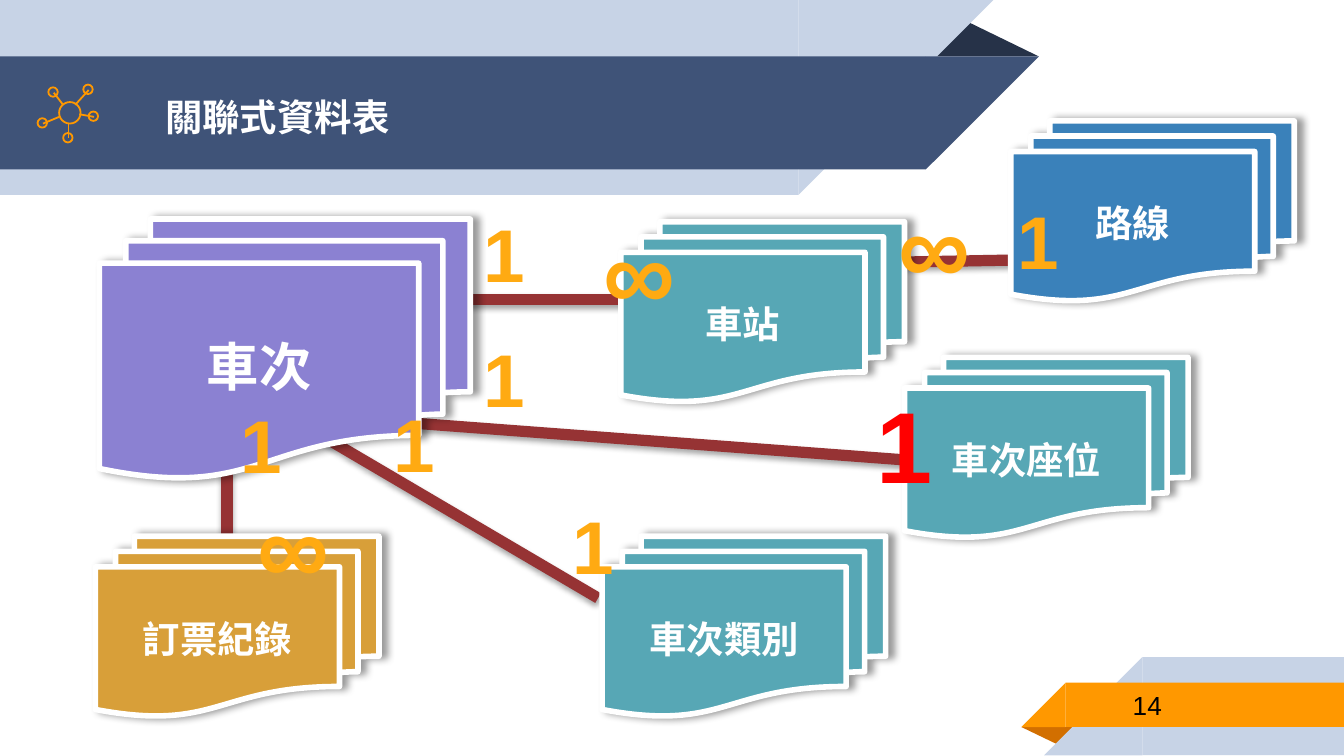
from dataclasses import dataclass

from lxml.etree import SubElement
from pptx import Presentation
from pptx.dml.color import RGBColor
from pptx.enum.shapes import MSO_CONNECTOR as Link, MSO_SHAPE as Form
from pptx.enum.text import MSO_ANCHOR as Anchor, MSO_AUTO_SIZE as Fit, PP_ALIGN as Align
from pptx.oxml.ns import qn
from pptx.util import Emu, Pt

PX = 9144
WIDTH = 1000


def px(count):
    return Emu(round(count * PX))


@dataclass(frozen=True)
class Theme:
    white: str = "FFFFFF"
    black: str = "000000"
    pale: str = "C7D3E6"
    navy: str = "3F5378"
    navy_fold: str = "263248"
    orange: str = "FF9800"
    orange_fold: str = "D26F00"
    link: str = "963334"
    purple: str = "8B81D2"
    gold: str = "D89F39"
    teal: str = "57A7B5"
    blue: str = "3A81BA"
    red: str = "FF0000"
    mark: tuple = ("FFAA12", "BD7B04")
    title_font: str = "Roboto Condensed"
    node_font: str = "Noto Sans CJK JP"
    plain_font: str = "Arial"
    title_size: int = 20
    node_size: int = 20
    main_size: int = 28
    number_size: int = 14
    one_size: int = 40
    many_size: int = 54
    icon_line: float = 0.96
    node_line: int = 3
    link_line: int = 6


def paint(fill, color):
    if isinstance(color, str):
        fill.solid()
        fill.fore_color.rgb = RGBColor.from_string(color)
        return
    fill.gradient()
    fill.gradient_angle = 270
    for stop, shade, position in zip(fill.gradient_stops, color, (0.25, 1)):
        stop.color.rgb = RGBColor.from_string(shade)
        stop.position = position


def write(frame, text, *, font, size, color, bold=True, align=Align.LEFT,
          anchor=Anchor.TOP, inset=None, spacing=0):
    frame.word_wrap = True
    frame.vertical_anchor = anchor
    if inset is not None:
        frame.margin_top = frame.margin_bottom = px(inset)
    para = frame.paragraphs[0]
    para.alignment = align
    span = para.add_run()
    span.text = text
    span.font.size = Pt(size)
    span.font.bold = bold
    paint(span.font.fill, color)
    span.font.name = font
    props = span._r.get_or_add_rPr()
    SubElement(props, qn("a:ea"), typeface=font)
    if spacing:
        props.set("spc", str(spacing))


def cast_shadow(item, alpha, blur, distance, angle):
    effects = SubElement(item._element.spPr, qn("a:effectLst"))
    if not alpha:
        return
    shadow = SubElement(effects, qn("a:outerShdw"), blurRad=str(Pt(blur)),
                        dist=str(Pt(distance)), dir=str(angle * 60000), rotWithShape="0")
    tint = SubElement(shadow, qn("a:srgbClr"), val=Theme.black)
    SubElement(tint, qn("a:alpha"), val=str(alpha * 1000))


class Painter:
    def __init__(self, page, theme):
        self.page = page
        self.theme = theme

    def shape(self, form, left, top, width, height, fill=None, outline=None, weight=0):
        item = self.page.shapes.add_shape(form, px(left), px(top), px(width), px(height))
        if fill:
            paint(item.fill, fill)
        else:
            item.fill.background()
        if outline:
            paint(item.line.fill, outline)
            item.line.width = Pt(weight)
        else:
            item.line.fill.background()
        return item

    def flat(self, *args, **options):
        item = self.shape(*args, **options)
        item.shadow.inherit = False
        return item

    def fold(self, left, top, width, height, fill, turn=0):
        item = self.flat(Form.ISOSCELES_TRIANGLE, left, top, width, height, fill)
        item.adjustments[0] = 0.324
        item.rotation = turn

    def ribbon(self, start, end, top, height, fill, slant_right):
        self.flat(Form.RECTANGLE, start, top, end - start, height, fill)
        left = end if slant_right else start - height
        corner = self.flat(Form.RIGHT_TRIANGLE, left, top, height, height, fill)
        corner._element.spPr.xfrm.set("flipH", "1")
        if slant_right:
            corner.rotation = 180

    def line(self, start, end, color, weight, shadow=(0, 0, 0, 0)):
        item = self.page.shapes.add_connector(Link.STRAIGHT, *map(px, start + end))
        paint(item.line.fill, color)
        item.line.width = Pt(weight)
        cast_shadow(item, *shadow)

    def icon(self, hub, spokes):
        style = dict(outline=self.theme.orange, weight=self.theme.icon_line)
        self.flat(Form.OVAL, *hub, **style)
        for rim, (x, y) in spokes:
            self.flat(Form.OVAL, x - 4, y - 4, 7, 7, **style)
            self.line(rim, (x, y), self.theme.orange, self.theme.icon_line)

    def node(self, text, left, top, fill, width=211, height=134, size=Theme.node_size):
        item = self.shape(Form.FLOWCHART_MULTIDOCUMENT, left, top, width, height,
                          fill, self.theme.white, self.theme.node_line)
        cast_shadow(item, 40, 4, 3, 0)
        write(item.text_frame, text, font=self.theme.node_font, size=size,
              color=self.theme.white, align=Align.CENTER, anchor=Anchor.MIDDLE)

    def text(self, text, left, top, width, height, **style):
        box = self.page.shapes.add_textbox(px(left), px(top), px(width), px(height))
        write(box.text_frame, text, **style)
        return box

    def mark(self, text, left, top, size, color):
        height = 77 if size == self.theme.one_size else 101
        box = self.text(text, left, top, 31, height, font=self.theme.plain_font, size=size,
                        color=color, align=Align.CENTER, spacing=50)
        box.text_frame.auto_size = Fit.SHAPE_TO_FIT_TEXT


def main():
    theme = Theme()
    deck = Presentation()
    deck.slide_width = px(WIDTH)
    deck.slide_height = px(WIDTH * 9 / 16)
    painter = Painter(deck.slides.add_slide(deck.slide_layouts[6]), theme)

    painter.fold(688, 14, 85, 28, theme.navy_fold)
    painter.ribbon(0, 594, 0, 145, theme.pale, True)
    painter.ribbon(0, 689, 42, 84, theme.navy, True)
    painter.fold(760, 541, 43, 14, theme.orange_fold, turn=180)
    painter.ribbon(850, WIDTH, 489, 73, theme.pale, False)
    painter.ribbon(793, WIDTH, 508, 33, theme.orange, False)

    for start, end in [
        ((672, 195), (782, 193)),
        ((169, 289), (169, 466)),
        ((217, 311), (445, 445)),
        ((283, 313), (697, 344)),
        ((303, 223), (476, 223)),
    ]:
        painter.line(start, end, theme.link, theme.link_line, (35, 3.1, 1.8, 90))

    painter.text("關聯式資料表", 113, 45, 601, 84, font=theme.title_font,
                 size=theme.title_size, color=theme.white, anchor=Anchor.MIDDLE, inset=10)
    painter.text("14", 833, 507, 163, 35, font=theme.plain_font, size=theme.number_size,
                 color=theme.black, bold=False, anchor=Anchor.MIDDLE, inset=10)
    painter.icon((44, 76, 16, 16), [
        ((47, 78), (40, 69)),
        ((56, 78), (66, 67)),
        ((59, 85), (70, 87)),
        ((51, 92), (51, 103)),
        ((44, 87), (32, 92)),
    ])

    painter.node("車次", 74, 163, theme.purple, 276, 193, theme.main_size)
    for text, left, top, fill in [
        ("訂票紀錄", 71, 399, theme.gold),
        ("車站", 462, 165, theme.teal),
        ("車次座位", 673, 266, theme.teal),
        ("車次類別", 448, 399, theme.teal),
        ("路線", 752, 90, theme.blue),
    ]:
        painter.node(text, left, top, fill)

    for left, top in [(350, 150), (350, 243), (283, 291), (416, 367), (169, 292), (747, 140)]:
        painter.mark("1", left, top, theme.one_size, theme.mark)
    for left, top in [(182, 355), (659, 132), (439, 151)]:
        painter.mark("∞", left, top, theme.many_size, theme.mark)
    painter.mark("1", 642, 280, theme.many_size, theme.red)

    deck.save("out.pptx")


if __name__ == "__main__":
    main()
